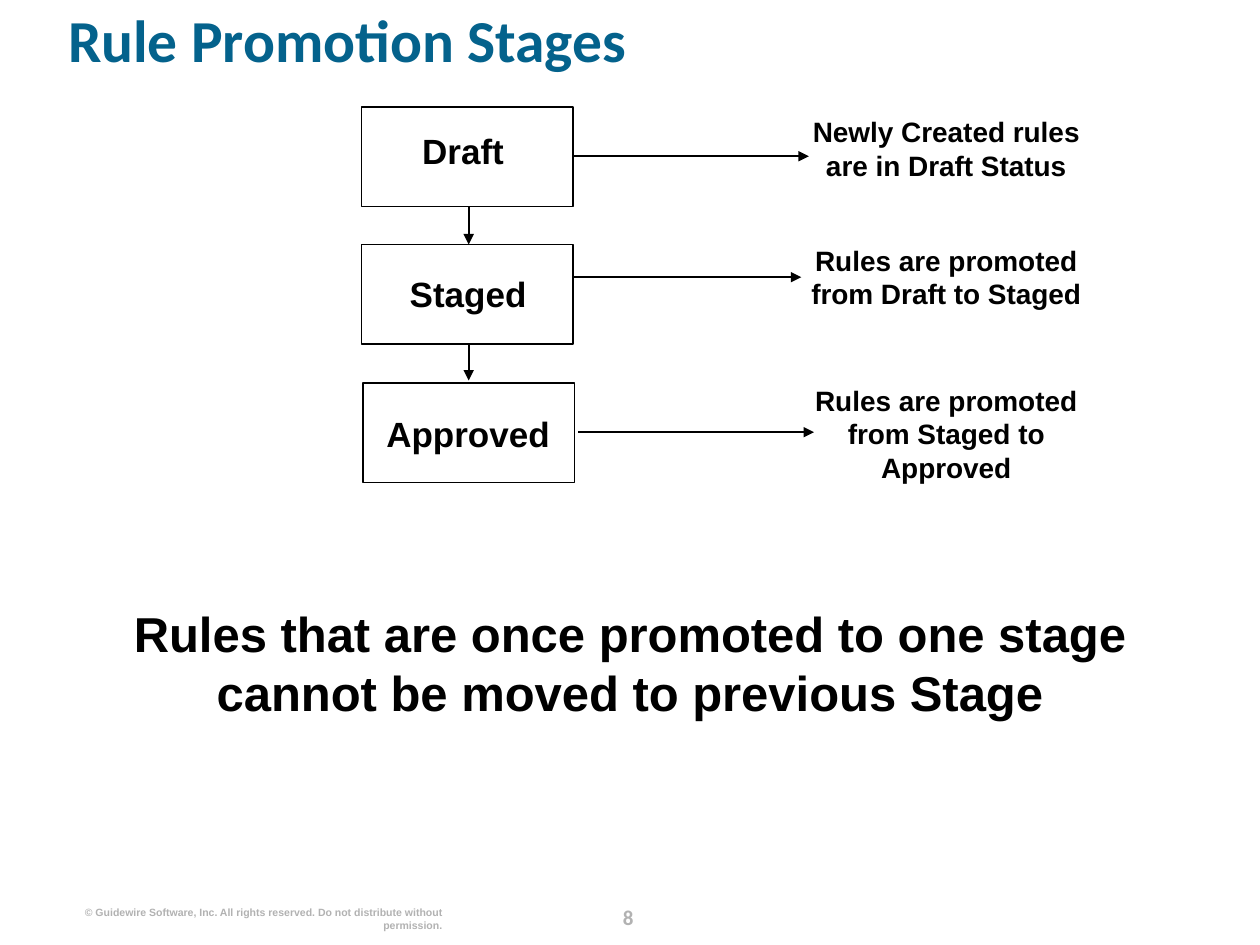
from typing import NamedTuple

from lxml import etree
from pptx import Presentation
from pptx.dml.color import RGBColor
from pptx.enum import shapes, text
from pptx.oxml import ns
from pptx.util import Inches, Pt

BLACK = RGBColor(0, 0, 0)
WHITE = RGBColor(255, 255, 255)
BLUE = RGBColor(0x04, 0x62, 0x8C)
GRAY = RGBColor(0xB2, 0xB2, 0xB2)
LEFT, MID, RIGHT = text.PP_ALIGN.LEFT, text.PP_ALIGN.CENTER, text.PP_ALIGN.RIGHT


class Label(NamedTuple):
    words: str
    left: float
    top: float
    width: float
    height: float
    size: int
    color: RGBColor = BLACK
    align: text.PP_ALIGN = MID
    font: str = "Arial"
    space: object = None


class Stage(NamedTuple):
    name: Label
    left: float
    top: float
    filled: bool
    note: Label


class Arrow(NamedTuple):
    x1: float
    y1: float
    x2: float
    y2: float


def note(words: str, top: float, height: float) -> Label:
    return Label(words, 6.42, top, 2.18, height, 16)


BOX_W, BOX_H = 1.68, 0.79
STAGES = [
    Stage(Label("Draft", 2.88, 1.03, 1.59, 0.34, 20), 2.87, 0.85, True,
          note("Newly Created rules are in Draft Status", 0.91, 0.54)),
    Stage(Label("Staged", 2.92, 2.16, 1.59, 0.34, 20), 2.87, 1.94, True,
          note("Rules are promoted from Draft to Staged", 1.93, 0.54)),
    Stage(Label("Approved", 2.92, 3.27, 1.59, 0.34, 20), 2.88, 3.04, False,
          note("Rules are promoted from Staged to Approved", 3.04, 0.81)),
]
ARROWS = [
    Arrow(3.72, 1.64, 3.72, 1.94),
    Arrow(3.72, 2.73, 3.72, 3.02),
    Arrow(4.55, 1.24, 6.42, 1.24),
    Arrow(4.54, 2.2, 6.36, 2.2),
    Arrow(4.59, 3.43, 6.46, 3.43),
]
LABELS = [
    Label("Rule Promotion Stages", 0.54, 0.13, 9.1, 0.81, 34,
          BLUE, LEFT, "Calibri", 0.8),
    Label("Rules that are once promoted to one stage cannot be moved "
          "to previous Stage", 0.83, 4.79, 8.34, 0.94, 28),
    Label("© Guidewire Software, Inc. All rights reserved. Do not distribute "
          "without permission.", 0.61, 7.19, 2.9, 0.2, 6, GRAY, RIGHT),
    Label("8", 4.7, 7.13, 0.57, 0.25, 12, GRAY, MID, "Calibri", Pt(18)),
]


def write(slide, label: Label) -> None:
    box = slide.shapes.add_textbox(Inches(label.left), Inches(label.top),
                                   Inches(label.width), Inches(label.height))
    frame = box.text_frame
    frame.word_wrap = True
    frame.margin_left = frame.margin_right = 0
    frame.margin_top = frame.margin_bottom = 0
    para = frame.paragraphs[0]
    para.alignment = label.align
    if label.space:
        para.line_spacing = label.space
    run = para.add_run()
    run.text = label.words
    run.font.name = label.font
    run.font.size = Pt(label.size)
    run.font.bold = True
    run.font.color.rgb = label.color


def draw_stage(slide, stage: Stage) -> None:
    box = slide.shapes.add_shape(shapes.MSO_SHAPE.RECTANGLE,
                                 Inches(stage.left), Inches(stage.top),
                                 Inches(BOX_W), Inches(BOX_H))
    box.shadow.inherit = False
    if stage.filled:
        box.fill.solid()
        box.fill.fore_color.rgb = WHITE
    else:
        box.fill.background()
    box.line.color.rgb = BLACK
    box.line.width = Pt(1)
    write(slide, stage.name)
    write(slide, stage.note)


def draw_arrow(slide, arrow: Arrow) -> None:
    link = slide.shapes.add_connector(shapes.MSO_CONNECTOR.STRAIGHT,
                                      *(Inches(v) for v in arrow))
    link.line.color.rgb = BLACK
    link.line.width = Pt(1)
    etree.SubElement(link.line._get_or_add_ln(), ns.qn("a:tailEnd"), type="triangle")
    etree.SubElement(link._element.spPr, ns.qn("a:effectLst"))


def main() -> None:
    deck = Presentation()
    deck.slide_width, deck.slide_height = Inches(10), Inches(7.5)
    slide = deck.slides.add_slide(deck.slide_layouts[6])
    for stage in STAGES:
        draw_stage(slide, stage)
    for arrow in ARROWS:
        draw_arrow(slide, arrow)
    for label in LABELS:
        write(slide, label)
    deck.save("out.pptx")


if __name__ == "__main__":
    main()
